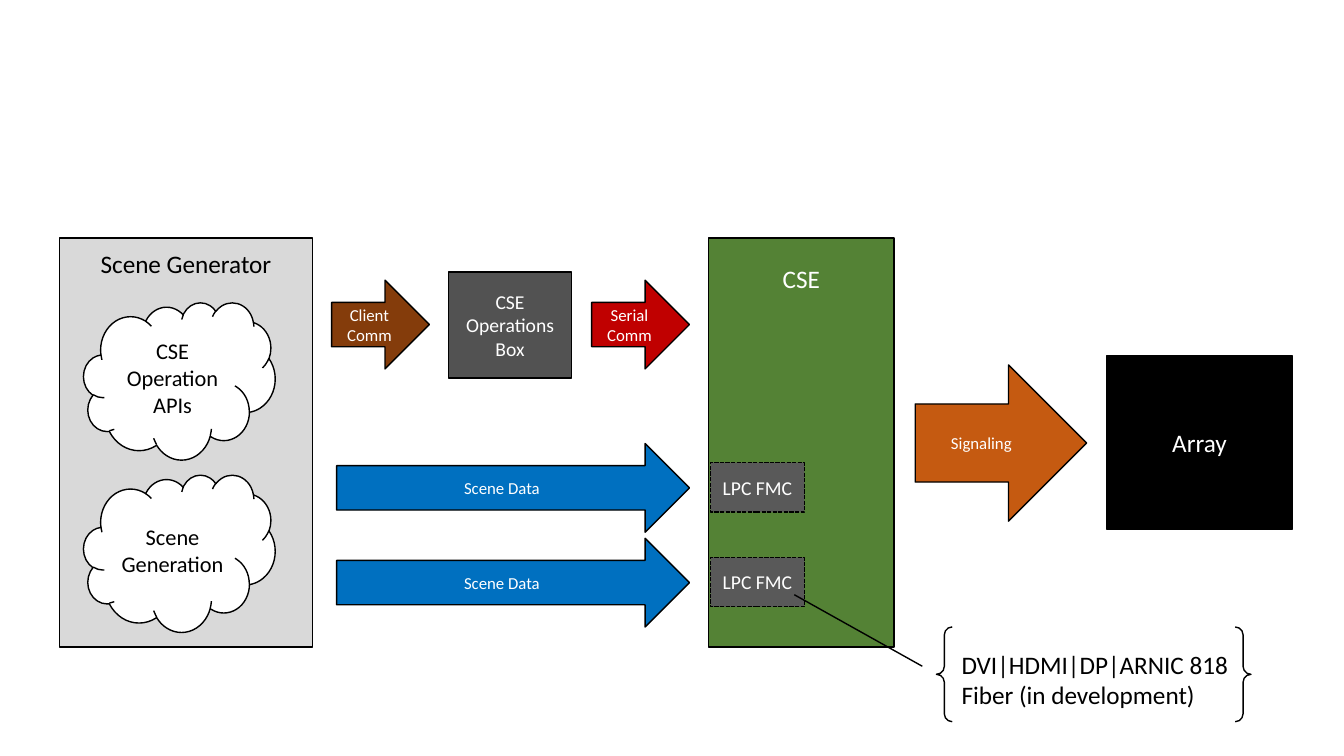
from dataclasses import dataclass

from pptx import Presentation
from pptx.dml.color import RGBColor
from pptx.enum.dml import MSO_LINE
from pptx.enum.shapes import MSO_CONNECTOR, MSO_SHAPE as Kind
from pptx.enum.text import MSO_ANCHOR as Anchor, PP_ALIGN as Align
from pptx.oxml.ns import qn
from pptx.util import Inches, Pt
from lxml.etree import SubElement


@dataclass(frozen=True)
class Theme:
    font: str = "Calibri"
    black: str = "000000"
    white: str = "FFFFFF"
    panel: str = "D9D9D9"
    green: str = "548235"
    blue: str = "0070C0"
    orange: str = "C55A11"
    brown: str = "843C0B"
    red: str = "C00000"
    ops: str = "525252"
    card: str = "595959"
    large: int = 18
    cloud: int = 16
    mid: int = 14
    small: int = 12
    line: int = 1


T = Theme()
CELL = 0.1
COLS, ROWS = 133.33, 75


def grid(*cells):
    return [Inches(n * CELL) for n in cells]


def write(shape, text, size=T.large, color=T.white, align=Align.CENTER,
          anchor=Anchor.MIDDLE, top=0.5):
    frame = shape.text_frame
    frame.word_wrap = True
    frame.vertical_anchor = anchor
    frame.margin_top = grid(top)[0]
    for i, words in enumerate(text.split("\n")):
        para = frame.paragraphs[0] if i == 0 else frame.add_paragraph()
        para.alignment = align
        run = para.add_run()
        run.text = words
        run.font.name = T.font
        run.font.size = Pt(size)
        run.font.color.rgb = RGBColor.from_string(color)


def stroke(line):
    line.color.rgb = RGBColor.from_string(T.black)
    line.width = Pt(T.line)


def block(slide, kind, place, fill=None, text="", dash=None, **style):
    shape = slide.shapes.add_shape(kind, *grid(*place))
    shape.shadow.inherit = False
    if fill:
        shape.fill.solid()
        shape.fill.fore_color.rgb = RGBColor.from_string(fill)
    else:
        shape.fill.background()
    stroke(shape.line)
    if dash:
        shape.line.dash_style = dash
    if text:
        write(shape, text, **style)


def label(slide, place, text, **style):
    write(slide.shapes.add_textbox(*grid(*place)), text, **style)


def link(slide, start, end):
    line = slide.shapes.add_connector(
        MSO_CONNECTOR.STRAIGHT, *grid(*start, *end))
    stroke(line.line)
    SubElement(line._element.spPr, qn("a:effectLst"))


def arrow(slide, place, fill, text):
    block(slide, Kind.RIGHT_ARROW, place, fill, text, size=T.small)


def source(slide):
    block(slide, Kind.RECTANGLE, (5.9, 23.6, 25.1, 40.6), T.panel,
          "Scene Generator", color=T.black, anchor=Anchor.TOP, top=1)
    for i, text in enumerate(("CSE Operation\nAPIs", "Scene Generation")):
        block(slide, Kind.CLOUD, (8.3, 30 + 17.1 * i, 19, 15.6), T.white,
              text, size=T.cloud, color=T.black)


def control(slide):
    arrow(slide, (32.9, 27.8, 9.7, 8.8), T.brown, "Client\nComm")
    block(slide, Kind.RECTANGLE, (44.5, 27, 12.2, 10.5), T.ops,
          "CSE Operations Box", size=T.mid)
    arrow(slide, (58.7, 27.8, 9.7, 8.8), T.red, "Serial\nComm")


def lanes(slide):
    for row in (44, 53.4):
        arrow(slide, (33.4, row, 35, 8.8), T.blue, "Scene Data")
        block(slide, Kind.RECTANGLE, (70.5, row + 1.9, 9.3, 4.9), T.card,
              "LPC FMC", dash=MSO_LINE.SQUARE_DOT, size=T.mid)


def output(slide):
    arrow(slide, (90.8, 36.2, 17, 15.5), T.orange, "Signaling")
    block(slide, Kind.RECTANGLE, (109.8, 35.3, 18.4, 17.2), T.black, "Array")


def note(slide):
    label(slide, (94.4, 63.9, 28.9, 7.1),
          "DVI|HDMI|DP|ARNIC 818\nFiber (in development)",
          color=T.black, align=Align.LEFT, anchor=Anchor.TOP)
    block(slide, Kind.DOUBLE_BRACE, (92.9, 62.2, 31.2, 9.4))
    link(slide, (78.8, 59), (91.5, 66.1))


def main():
    deck = Presentation()
    deck.slide_width, deck.slide_height = grid(COLS, ROWS)
    slide = deck.slides.add_slide(deck.slide_layouts[6])
    block(slide, Kind.RECTANGLE, (70.3, 23.6, 18.4, 40.6), T.green,
          "CSE", anchor=Anchor.TOP, top=2.5)
    source(slide)
    control(slide)
    lanes(slide)
    output(slide)
    note(slide)
    deck.save("out.pptx")


main()
